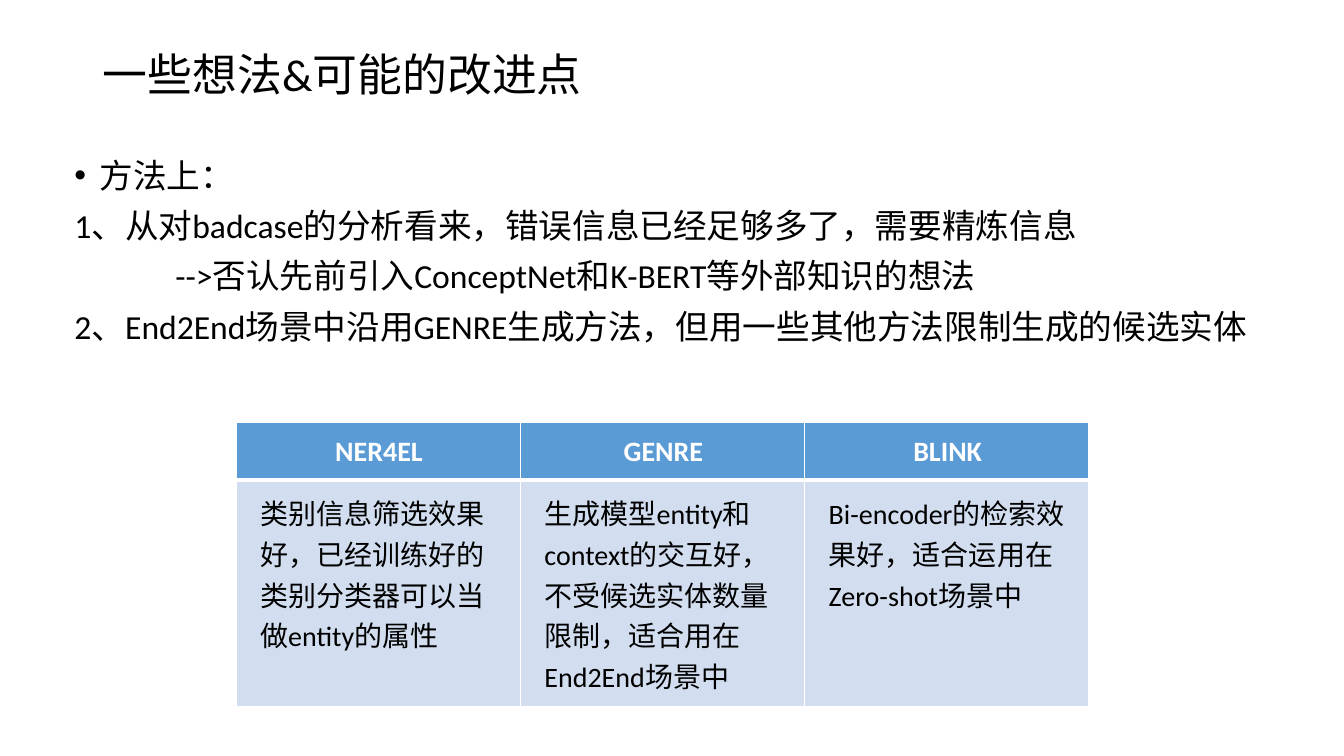
from lxml import etree
from pptx import Presentation, util as u
from pptx.dml.color import RGBColor
from pptx.enum import text
from pptx.oxml import ns

WIDTH, HEIGHT = 13.33, 7.5
COLUMN, HEADER_ROW, BODY_ROW = 2.82, 0.57, 2.25

HEADING = "一些想法&可能的改进点"
# Each point: left margin, first-line indent, bullet, words
POINTS = [
    (0.25, -0.25, "•", "方法上："),
    (0, 0, "", "1、从对badcase的分析看来，错误信息已经足够多了，需要精炼信息"),
    (1, 0, "", "-->否认先前引入ConceptNet和K-BERT等外部知识的想法"),
    (0, 0, "", "2、End2End场景中沿用GENRE生成方法，但用一些其他方法限制生成的候选实体"),
]
MODELS = {
    "NER4EL": "类别信息筛选效果好，已经训练好的类别分类器可以当做entity的属性",
    "GENRE": "生成模型entity和context的交互好，不受候选实体数量限制，适合用在End2End场景中",
    "BLINK": "Bi-encoder的检索效果好，适合运用在Zero-shot场景中",
}


def color(value):
    return RGBColor.from_string(value)


def write(paragraph, words, size, ink="000000", bold=False, **layout):
    run = paragraph.add_run()
    run.text = words
    run.font.color.rgb = color(ink)
    for key, value in {"name": "Calibri", "size": u.Pt(size), "bold": bold}.items():
        setattr(run.font, key, value)
    for key, value in layout.items():
        setattr(paragraph, key, value)


deck = Presentation()
deck.slide_width, deck.slide_height = u.Inches(WIDTH), u.Inches(HEIGHT)
slide = deck.slides.add_slide(deck.slide_layouts[6])

# Heading
heading = slide.shapes.add_textbox(*map(u.Inches, (0.92, 0.04, 11.5, 1.45))).text_frame
heading.word_wrap = True
heading.vertical_anchor = text.MSO_ANCHOR.MIDDLE
write(heading.paragraphs[0], HEADING, 32, line_spacing=0.9)

# Points
points = slide.shapes.add_textbox(*map(u.Inches, (0.64, 1.53, 12.28, 2.2))).text_frame
points.word_wrap = True
for i, (margin, indent, bullet, words) in enumerate(POINTS):
    paragraph = points.add_paragraph() if i else points.paragraphs[0]
    props = paragraph._p.get_or_add_pPr()
    props.set("marL", str(u.Inches(margin)))
    props.set("indent", str(u.Inches(indent)))
    if bullet:
        etree.SubElement(props, ns.qn("a:buFont"), typeface="Arial")
        etree.SubElement(props, ns.qn("a:buChar"), char=bullet)
    write(paragraph, words, 24, line_spacing=0.9, space_before=u.Pt(10 if i else 0))

# Model comparison
comparison = slide.shapes.add_table(
    2, len(MODELS), *map(u.Inches, (2.34, 4.19, COLUMN * len(MODELS), HEADER_ROW + BODY_ROW))
).table
for column in comparison.columns:
    column.width = u.Inches(COLUMN)
for row, height in zip(comparison.rows, (HEADER_ROW, BODY_ROW)):
    row.height = u.Inches(height)

CELL_FORMAT = {
    "margin_left": u.Inches(0.24), "margin_right": u.Inches(0.22),
    "margin_top": u.Inches(0.12), "margin_bottom": u.Inches(0.12),
}
ROW_STYLES = [
    ("5B9BD5", "FFFFFF", True, text.PP_ALIGN.CENTER),
    ("D2DEEF", "000000", False, text.PP_ALIGN.LEFT),
]
for r, (entries, style) in enumerate(zip((MODELS.keys(), MODELS.values()), ROW_STYLES)):
    fill, ink, bold, alignment = style
    for c, entry in enumerate(entries):
        cell = comparison.cell(r, c)
        for key, value in CELL_FORMAT.items():
            setattr(cell, key, value)
        cell.fill.solid()
        cell.fill.fore_color.rgb = color(fill)
        write(cell.text_frame.paragraphs[0], entry, 20, ink, bold, alignment=alignment)

        # White borders, thicker between header and body
        for place, side in enumerate("LRTB"):
            thick = (r, side) in ((0, "B"), (1, "T"))
            border = etree.Element(ns.qn(f"a:ln{side}"), w=str(u.Pt(3 if thick else 1)))
            paint = etree.SubElement(border, ns.qn("a:solidFill"))
            etree.SubElement(paint, ns.qn("a:srgbClr"), val="FFFFFF")
            cell._tc.get_or_add_tcPr().insert(place, border)

deck.save("out.pptx")
